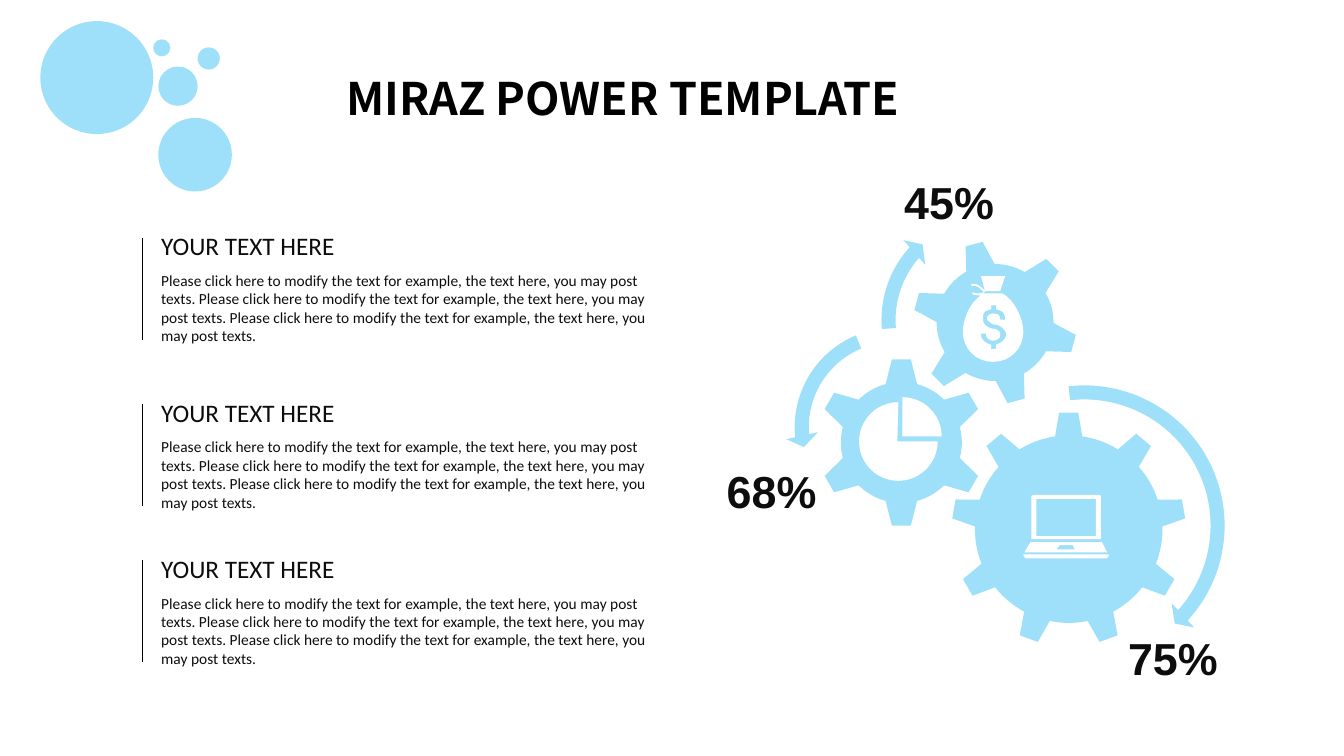
"""Builds a slide with three text blocks beside three linked gears."""
import math
import pptx
import pptx.util
import pptx.dml.color
import pptx.enum.shapes
import pptx.enum.text
import pptx.oxml
import pptx.oxml.ns

Inches = pptx.util.Inches
Kind = pptx.enum.shapes.MSO_SHAPE
SKY, WHITE, INK, BLACK = "00B0F0", "FFFFFF", "0D0D0D", "000000"
CLEAR = 38000

TITLE = "MIRAZ POWER TEMPLATE"
HEAD = "YOUR TEXT HERE"
BODY = " ".join(["Please click here to modify the text for example, "
                 "the text here, you may post texts."] * 3)
TOPS = [2.24, 3.89, 5.44]
RATES = [("45%", 8.87, 1.68), ("68%", 7.11, 4.55), ("75%", 11.09, 6.21)]
BUBBLES = [(0.4, 0.21, 1.12), (1.52, 0.39, 0.17), (1.96, 0.47, 0.22),
           (1.57, 0.66, 0.39), (1.57, 1.17, 0.73)]

# x, y, teeth, turn, root radius, tip radius, half angle at root, at tip
GEARS = [(10.6, 5.25, 9, 0, 0.93, 1.16, 8.35, 4.7),
         (8.94, 4.39, 6, 0, 0.6, 0.83, 15.1, 6.5),
         (9.87, 3.2, 6, -15, 0.58, 0.81, 14.5, 6.2)]
ARROWS = [
    (Kind.CIRCULAR_ARROW, 9.27, 3.73, 2.97,
     [0.047, 2.99, 25.393, 158.123, 0.055]),
    (Kind.LEFT_CIRCULAR_ARROW, 7.79, 3.16, 2.16,
     [0.065, 4.3, 104.891, 148.378, 0.075]),
    (Kind.CIRCULAR_ARROW, 8.65, 2.01, 2.33,
     [0.06, 3.941, 133.138, 105.082, 0.07])]

LAPTOP = [
    [(10.93, 5.38), (10.22, 5.38), (10.16, 5.48), (10.98, 5.48)],
    [(10.48, 5.45), (10.51, 5.41), (10.64, 5.41), (10.66, 5.45)],
    [(10.92, 5.35), (10.92, 4.92), (10.9, 4.91), (10.25, 4.91),
     (10.23, 4.92), (10.23, 5.35)],
    [(10.87, 5.32), (10.28, 5.32), (10.28, 4.95), (10.87, 4.95)],
    [(10.99, 5.5), (10.15, 5.5), (10.15, 5.51), (10.17, 5.54),
     (10.98, 5.54), (11, 5.51)]]
NECK = [[(9.92, 2.89), (9.97, 2.74), (9.73, 2.74), (9.77, 2.89),
         (9.75, 2.86, 9.69, 2.8, 9.63, 2.82), (9.64, 2.84),
         (9.69, 2.82, 9.74, 2.88, 9.76, 2.9), (9.77, 2.89)]]
SACK = [
    [(9.94, 2.91), (9.75, 2.91), (9.76, 2.9),
     (9.72, 2.91, 9.68, 2.92, 9.66, 2.9), (9.64, 2.91),
     (9.66, 2.93, 9.68, 2.93, 9.73, 2.93),
     (9.62, 3, 9.55, 3.17, 9.55, 3.29),
     (9.55, 3.46, 9.68, 3.59, 9.85, 3.59),
     (10.02, 3.59, 10.15, 3.46, 10.15, 3.29),
     (10.15, 3.16, 10.06, 2.97, 9.94, 2.91)],
    [(9.94, 3.39), (9.92, 3.4, 9.9, 3.41, 9.88, 3.42), (9.88, 3.46),
     (9.83, 3.46), (9.83, 3.42), (9.8, 3.41, 9.78, 3.4, 9.77, 3.39),
     (9.74, 3.37, 9.73, 3.35, 9.73, 3.31), (9.78, 3.31),
     (9.78, 3.34, 9.79, 3.35, 9.8, 3.36),
     (9.81, 3.37, 9.83, 3.38, 9.85, 3.38),
     (9.87, 3.38, 9.89, 3.37, 9.9, 3.36),
     (9.92, 3.35, 9.92, 3.34, 9.92, 3.32),
     (9.92, 3.3, 9.92, 3.29, 9.9, 3.28),
     (9.89, 3.27, 9.87, 3.26, 9.84, 3.26),
     (9.81, 3.25, 9.79, 3.24, 9.77, 3.22),
     (9.75, 3.2, 9.75, 3.18, 9.75, 3.16),
     (9.75, 3.14, 9.75, 3.11, 9.77, 3.09),
     (9.79, 3.08, 9.81, 3.07, 9.83, 3.07), (9.83, 3.03), (9.88, 3.03),
     (9.88, 3.07), (9.9, 3.07, 9.92, 3.08, 9.94, 3.09),
     (9.96, 3.11, 9.97, 3.14, 9.97, 3.17), (9.92, 3.17),
     (9.92, 3.14, 9.91, 3.13, 9.9, 3.12),
     (9.89, 3.12, 9.87, 3.11, 9.85, 3.11),
     (9.83, 3.11, 9.82, 3.12, 9.81, 3.12),
     (9.8, 3.13, 9.79, 3.14, 9.79, 3.16),
     (9.79, 3.18, 9.8, 3.18, 9.81, 3.19),
     (9.82, 3.2, 9.83, 3.21, 9.86, 3.22),
     (9.9, 3.22, 9.93, 3.24, 9.94, 3.25),
     (9.96, 3.27, 9.98, 3.29, 9.98, 3.32),
     (9.98, 3.34, 9.96, 3.37, 9.94, 3.39)]]

deck = pptx.Presentation()
deck.slide_width, deck.slide_height = Inches(13.33), Inches(7.5)
shapes = deck.slides.add_slide(deck.slide_layouts[6]).shapes


def tint(part, shade):
    part.solid()
    part.fore_color.rgb = pptx.dml.color.RGBColor.from_string(shade)


def paint(shape, shade):
    shape.shadow.inherit = False
    shape.line.fill.background()
    tint(shape.fill, shade)
    if shade == SKY:
        tone = shape._element.spPr.find(".//" + pptx.oxml.ns.qn("a:srgbClr"))
        tone.append(pptx.oxml.parse_xml(
            f'<a:alpha {pptx.oxml.ns.nsdecls("a")} val="{CLEAR}"/>'))


def arc(x, y, size, start, end, steps=8):
    turns = [math.radians(start + (end - start) * i / steps)
             for i in range(steps + 1)]
    return [(x + size * math.sin(t), y - size * math.cos(t)) for t in turns]


def smooth(loop, steps=8):
    dots = [loop[0]]
    for step in loop[1:]:
        if len(step) == 2:
            dots.append(step)
            continue
        knots = [dots[-1], step[:2], step[2:4], step[4:]]
        for i in range(1, steps + 1):
            t = i / steps
            parts = [(1 - t) ** 3, 3 * t * (1 - t) ** 2,
                     3 * t * t * (1 - t), t ** 3]
            dots.append(tuple(sum(p * k[axis] for p, k in zip(parts, knots))
                              for axis in (0, 1)))
    return dots


def draw(loops, shade):
    pen = None
    for loop in loops:
        dots = [(Inches(x), Inches(y)) for x, y in smooth(loop)]
        if pen is None:
            pen = shapes.build_freeform(*dots[0])
        else:
            pen.move_to(*dots[0])
        pen.add_line_segments(dots[1:], close=True)
    paint(pen.convert_to_shape(), shade)


def gear(x, y, teeth, turn, root, tip, wide, slim):
    pitch, dots = 360 / teeth, []
    for i in range(teeth):
        mid = turn + i * pitch
        dots += arc(x, y, tip, mid - slim, mid + slim, 1)
        dots += arc(x, y, root, mid + wide, mid + pitch - wide)
    draw([dots], SKY)


def write(text, x, y, wide, high, size, font, shade=INK, bold=False,
          wrap=False):
    box = shapes.add_textbox(*map(Inches, (x, y, wide, high)))
    frame = box.text_frame
    frame.word_wrap = wrap
    frame.auto_size = pptx.enum.text.MSO_AUTO_SIZE.SHAPE_TO_FIT_TEXT
    run = frame.paragraphs[0].add_run()
    run.text = text
    run.font.size, run.font.name = pptx.util.Pt(size), font
    run.font.bold = bold
    tint(run.font.fill, shade)
    return frame


def place(kind, x, y, size):
    shape = shapes.add_shape(kind, *map(Inches, (x, y, size, size)))
    paint(shape, SKY)
    return shape


for bubble in BUBBLES:
    place(Kind.OVAL, *bubble)

title = write(TITLE, 3.19, 0.66, 5.98, 0.61, 32, "Noto Sans CJK SC", BLACK,
              True)
title.paragraphs[0].alignment = pptx.enum.text.PP_ALIGN.CENTER
title.margin_left = title.margin_right = Inches(0.08)
title.margin_top = title.margin_bottom = Inches(0.04)

for wheel in GEARS:
    gear(*wheel)
for kind, x, y, size, bends in ARROWS:
    arrow = place(kind, x, y, size)
    for i, bend in enumerate(bends):
        arrow.adjustments[i] = bend

for top in TOPS:
    write(BODY, 1.5, top + 0.4, 5.19, 0.84, 11, "Calibri", wrap=True)
    write(HEAD, 1.5, top, 1.94, 0.4, 18, "Calibri")
    rule = shapes.add_connector(
        pptx.enum.shapes.MSO_CONNECTOR.STRAIGHT,
        *map(Inches, (1.41, top + 0.12, 1.41, top + 1.13)))
    tint(rule.line.fill, BLACK)
    rule.line.width = pptx.util.Pt(0.5)
    rule._element.spPr.append(pptx.oxml.parse_xml(
        f'<a:effectLst {pptx.oxml.ns.nsdecls("a")}/>'))

draw(LAPTOP, WHITE)
draw([[(8.9, 4.38)] + arc(8.91, 4.38, 0.39, 90, 360, 36)], WHITE)
draw([[(8.95, 4.33)] + arc(8.95, 4.33, 0.39, 0, 90, 12)], WHITE)
draw(NECK, WHITE)
draw(SACK, WHITE)

for rate, x, y in RATES:
    write(rate, x, y, 1.1, 0.64, 32, "Arial", bold=True)

deck.save("out.pptx")
